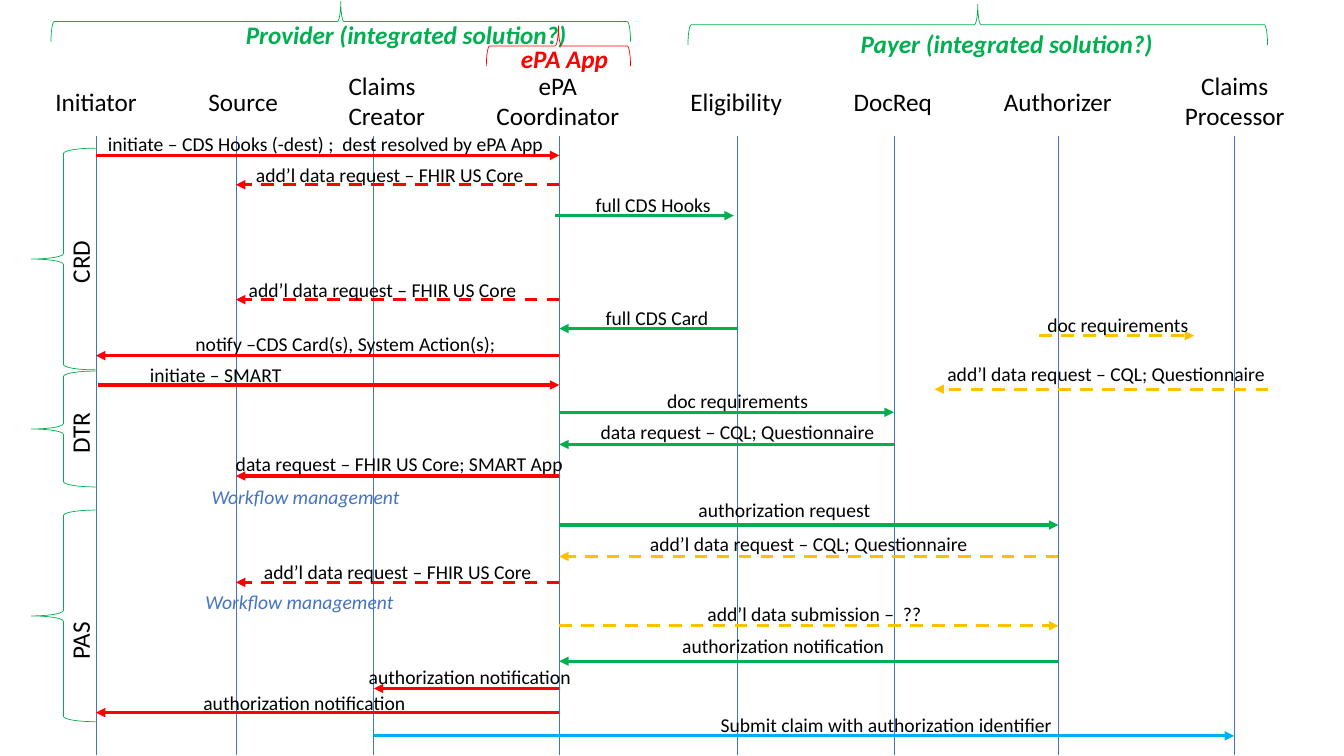
"""Builds a sequence diagram of prior authorization between provider and payer."""
import pptx
import pptx.util
import pptx.dml.color
import pptx.enum.dml
import pptx.enum.shapes
import pptx.enum.text
import pptx.oxml
import pptx.oxml.ns
from lxml import etree
from dataclasses import dataclass

Pt = pptx.util.Pt
RGB = pptx.dml.color.RGBColor.from_string
Align = pptx.enum.text.PP_ALIGN
Kind = pptx.enum.shapes


@dataclass(frozen=True)
class Theme:
    """Colours, font and sizes of the diagram."""
    font: str = "Calibri"
    ink: str = "000000"
    red: str = "FF0000"
    green: str = "00B050"
    gold: str = "FFC000"
    sky: str = "00B0F0"
    blue: str = "4472C4"
    big: int = 18
    small: int = 14
    thick: float = 2.25
    thin: float = 0.5


look = Theme()

# name: (lane x, head left, head width, head text, head alignment)
lanes = {
    "init": (68.5, 32.4, 73.4, "Initiator", Align.LEFT),
    "source": (168.5, 141.8, 64.8, "Source", Align.LEFT),
    "maker": (267, 241.9, 69.8, "Claims\nCreator", Align.LEFT),
    "epa": (399.5, 347, 103, "ePA\vCoordinator", Align.CENTER),
    "elig": (527, 486, 80.6, "Eligibility", Align.LEFT),
    "docs": (638.5, 602.6, 71.3, "DocReq", Align.LEFT),
    "auth": (756, 709.9, 92.2, "Authorizer", Align.LEFT),
    "claims": (881.5, 838.8, 86.4, "Claims\nProcessor", Align.CENTER),
}

fhir = "add’l data request – FHIR US Core"
cql = "add’l data request – CQL; Questionnaire"
note = "authorization notification"
need = "doc requirements"

# text, left, top, width, from, to, arrow y, colour, dashed
calls = [
    ("initiate – CDS Hooks (-dest) ;  dest resolved by ePA App",
     70, 90.7, 332, "init", "epa", 111, look.red, False),
    (fhir, 175.7, 113, 207.4, "epa", "source", 132, look.red, True),
    ("full CDS Hooks", 418.3, 134, 97.2, 396.7, 524.2, 154, look.green, False),
    (fhir, 170.6, 195.1, 207.4, "epa", "source", 214, look.red, True),
    ("full CDS Card", 425.5, 214.6, 88.6, "elig", "epa", 234.7, look.green, False),
    ("notify –CDS Card(s), System Action(s);",
     132.5, 233.3, 231, "epa", "init", 254, look.red, False),
    (need, 741, 219.6, 116, 742.5, 853, 239.8, look.gold, True),
    (cql, 669.6, 254.9, 250.6, 906, 667.5, 278, look.gold, True),
    ("initiate – SMART", 100, 255.6, 109.4, 70, "epa", 275, look.red, False),
    (need, 469.4, 274.3, 116, "epa", "docs", 294.5, look.green, False),
    ("data request – CQL; Questionnaire",
     422, 296.6, 212.4, "docs", "epa", 317.5, look.green, False),
    ("data request – FHIR US Core; SMART App",
     161.3, 319, 250.6, "epa", "source", 340, look.red, False),
    ("authorization request", 491.8, 352, 138.5, "epa", "auth", 375, look.green, False),
    (cql, 457.2, 376.6, 250.6, "auth", "epa", 397.5, look.gold, True),
    (fhir, 181.4, 396.7, 207.4, "epa", "source", 416, look.red, True),
    ("add’l data submission –  ??",
     498.2, 426.2, 169.2, "epa", "auth", 447, look.gold, True),
    (note, 480.2, 449.3, 160.6, "auth", "epa", 472.3, look.green, False),
    (note, 256.3, 471.6, 160.6, "epa", "maker", 491.8, look.red, False),
    (note, 138.2, 490.3, 160.6, "epa", "init", 509, look.red, False),
    ("Submit claim with authorization identifier",
     507.6, 505.4, 254.2, "maker", "claims", 525.6, look.sky, False),
]

# text, text left, text top, text width, brace left, top, width, colour
sides = [
    ("Provider (integrated solution?)", 168.5, 10, 246.2, 36.4, 1, 414, look.green),
    ("ePA App", 365, 27.4, 77.8, 347.4, 18.4, 103, look.red),
    ("Payer (integrated solution?)", 607.7, 16.6, 226, 491.4, 3.2, 414, look.green),
]

# text, text centre y, text width, brace top, brace height
phases = [
    ("CRD", 186.5, 45.4, 105.8, 158.4),
    ("DTR", 309, 43.9, 265, 82.8),
    ("PAS", 457.2, 41, 364.3, 151.2),
]
asides = [(144, 342.7), (139.7, 417.6)]

deck = pptx.Presentation()
deck.slide_width, deck.slide_height = Pt(960), Pt(540)
slide = deck.slides.add_slide(deck.slide_layouts[6])


def label(text, left, top, width, size=look.small, ink=look.ink,
          bold=False, slant=False, align=Align.LEFT, turn=0):
    """Adds a text box."""
    rows = text.count("\n") + text.count("\v") + 1
    height = 7.2 + rows * size * 1.22
    box = slide.shapes.add_textbox(Pt(left), Pt(top), Pt(width), Pt(height))
    box.rotation = turn
    frame = box.text_frame
    frame.word_wrap = False
    frame.auto_size = pptx.enum.text.MSO_AUTO_SIZE.SHAPE_TO_FIT_TEXT
    frame.text = text
    for para in frame.paragraphs:
        para.alignment = align
        font = para.font
        font.name, font.size = look.font, Pt(size)
        font.bold, font.italic = bold, slant
        font.color.rgb = RGB(ink)


def rule(shapes, start, end, ink, width, dash=False, arrow=False):
    """Adds a straight line."""
    line = shapes.add_connector(Kind.MSO_CONNECTOR.STRAIGHT, *map(Pt, start + end))
    line.line.color.rgb = RGB(ink)
    line.line.width = Pt(width)
    if dash:
        line.line.dash_style = pptx.enum.dml.MSO_LINE.DASH
    props = line.element.spPr
    qn = pptx.oxml.ns.qn
    if arrow:
        etree.SubElement(props.find(qn("a:ln")), qn("a:tailEnd"), type="triangle")
    etree.SubElement(props, qn("a:effectLst"))


def brace(left, top, width, height, ink, turn):
    """Adds a brace that fills the given area once turned."""
    if turn == 270:
        left, top = left + (width - height) / 2, top + (height - width) / 2
        width, height = height, width
    shape = slide.shapes.add_shape(
        Kind.MSO_SHAPE.RIGHT_BRACE, *map(Pt, (left, top, width, height)))
    shape.rotation = turn
    shape.shadow.inherit = False
    shape.fill.background()
    shape.line.color.rgb = RGB(ink)
    shape.line.width = Pt(look.thin)


def spot(end):
    """Gives the x of a lane name or of a plain number."""
    return lanes[end][0] if end in lanes else end


group = slide.shapes.add_group_shape()
for x, left, width, text, align in lanes.values():
    rule(group.shapes, (x, 97.2), (x, 539.3), look.blue, look.thin)
    top = 58.3 if text.isalpha() else 46.8
    label(text, left, top, width, look.big, align=align)

for text, left, top, width, start, end, y, ink, dash in calls:
    rule(slide.shapes, (spot(start), y), (spot(end), y), ink, look.thick, dash, True)
    label(text, left, top, width)

for text, left, top, width, x, y, span, ink in sides:
    brace(x, y, span, 28.8, ink, 270)
    label(text, left, top, width, look.big, ink, True, True)

for text, mid, width, top, height in phases:
    brace(22.3, top, 46, height, look.green, 180)
    label(text, 57.2 - width / 2, mid - 14.4, width, look.big, turn=270)

for left, top in asides:
    label("Workflow management", left, top, 149.8, ink=look.blue, slant=True)

deck.save("out.pptx")
